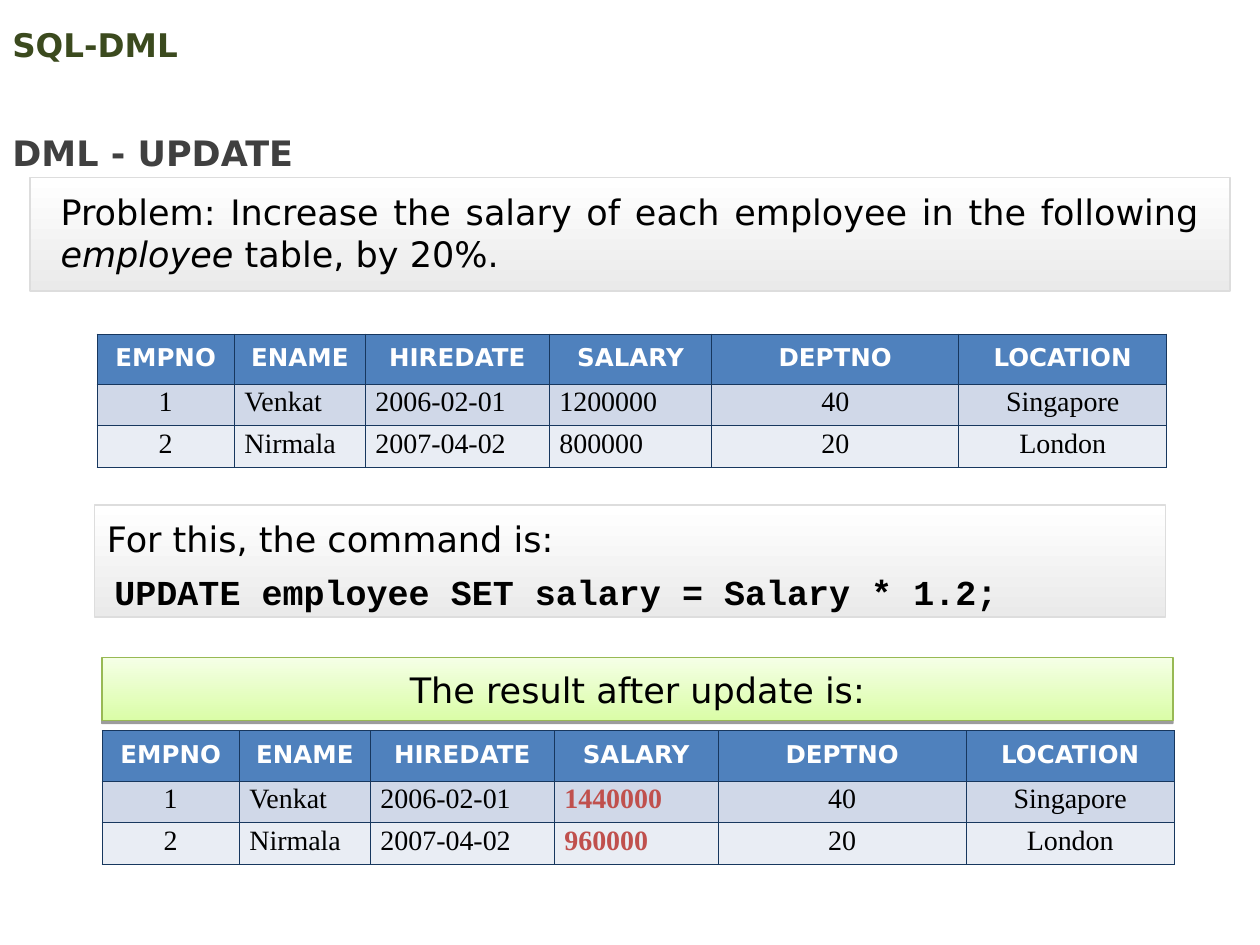
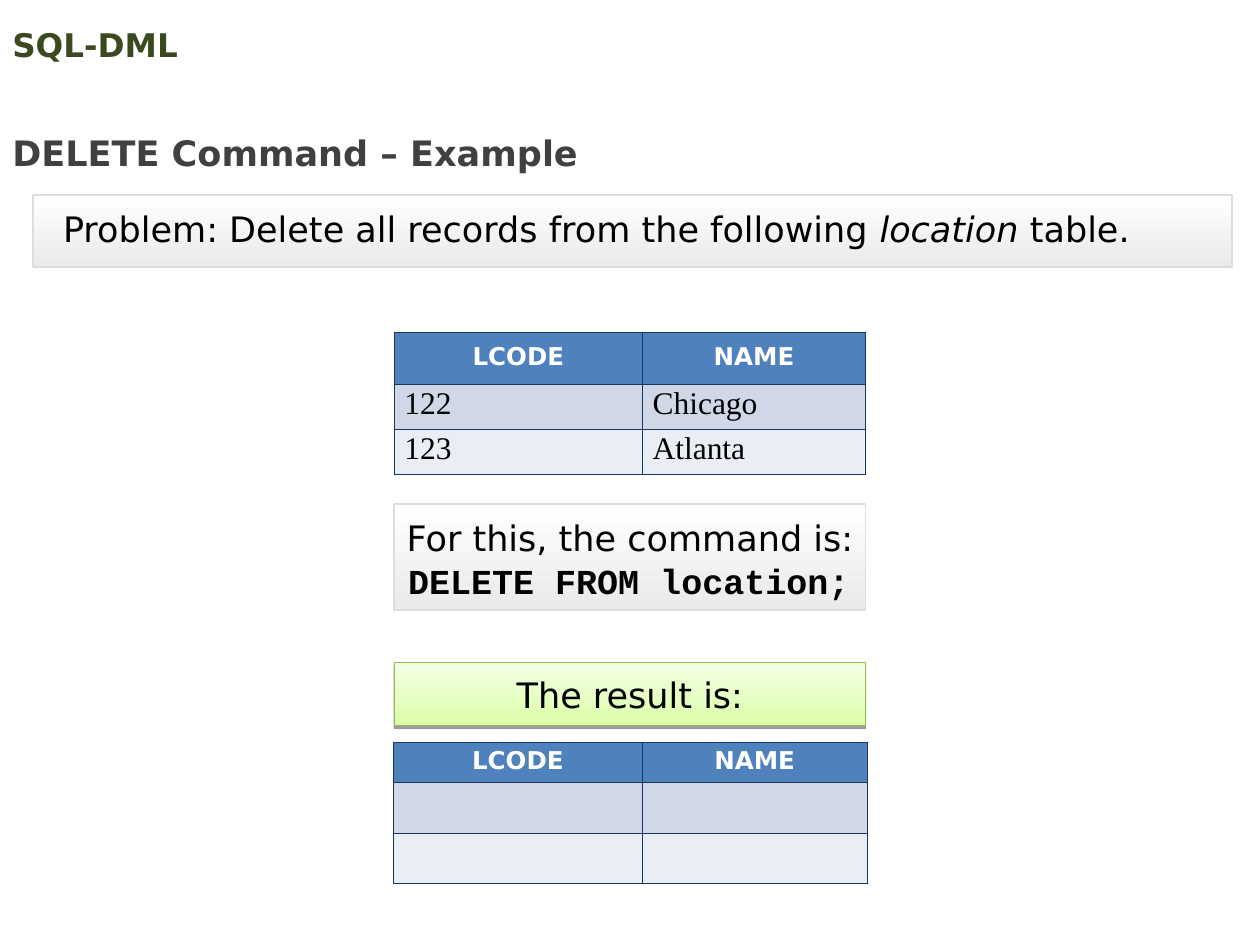
from lxml.etree import SubElement
from pptx import Presentation
from pptx.dml.color import RGBColor
from pptx.enum.shapes import MSO_SHAPE
from pptx.enum.text import MSO_ANCHOR, PP_ALIGN
from pptx.oxml.ns import qn
from pptx.util import Inches, Pt

SANS, SERIF, MONO = "DejaVu Sans", "Times New Roman", "Courier New"
BLACK, WHITE = "000000", "FFFFFF"
TITLE, HEADING, CHANGED = "3B4A1E", "404040", "C0504D"
HEADER_FILL, ROW_FILLS, GRID = "4F81BD", ("D0D8E8", "E9EDF4"), "17375E"
GREY_PANEL = ((WHITE, "EAEAEA"), "DDDDDD", 1)
GREEN_PANEL = (("F5FFE6", "DAFDA7"), "98B954", 0.75)


def color(value):
    return RGBColor.from_string(value)


class SlideBuilder:
    def __init__(self, presentation):
        self.presentation = presentation
        self.slide = None

    def new_slide(self, heading):
        self.slide = self.presentation.slides.add_slide(self.presentation.slide_layouts[6])
        self.text((0, 0.14, 9, 0.43), "SQL-DML", size=18.6, ink=TITLE, anchor=MSO_ANCHOR.MIDDLE)
        self.text((0, 0.83, 8.5, 0.6), heading, ink=HEADING, spacing=1.5)

    def frame(self, text_frame, insets, anchor=MSO_ANCHOR.TOP):
        text_frame.word_wrap = True
        text_frame.vertical_anchor = anchor
        (text_frame.margin_left, text_frame.margin_top,
         text_frame.margin_right, text_frame.margin_bottom) = map(Inches, insets)
        return text_frame.paragraphs[0]

    def run(self, paragraph, text, size=20, font=SANS, ink=BLACK, bold=False, italic=False):
        run = paragraph.add_run()
        run.text = text
        run.font.size, run.font.name = Pt(size), font
        run.font.bold, run.font.italic = bold, italic
        run.font.color.rgb = color(ink)

    def text(self, box, text, size=20, font=SANS, ink=BLACK, spacing=1.0, anchor=MSO_ANCHOR.TOP):
        shape = self.slide.shapes.add_textbox(*map(Inches, box))
        paragraph = self.frame(shape.text_frame, (0.1, 0.05, 0.1, 0.05), anchor)
        paragraph.line_spacing = spacing
        self.run(paragraph, text, size, font, ink, bold=True)

    def panel(self, box, style, insets, anchor=MSO_ANCHOR.TOP):
        stops, line, weight = style
        shape = self.slide.shapes.add_shape(MSO_SHAPE.RECTANGLE, *map(Inches, box))
        shape.shadow.inherit = False
        shape.fill.gradient()
        shape.fill.gradient_angle = 270
        for position, (stop, value) in enumerate(zip(shape.fill.gradient_stops, stops)):
            stop.position = position
            stop.color.rgb = color(value)
        shape.line.color.rgb = color(line)
        shape.line.width = Pt(weight)
        return shape, self.frame(shape.text_frame, insets, anchor)

    def problem(self, box, before, table_name, after, bottom_inset):
        paragraph = self.panel(box, GREY_PANEL, (0.24, 0.1, 0.24, bottom_inset))[1]
        paragraph.alignment = PP_ALIGN.JUSTIFY
        paragraph.space_after = Pt(12)
        self.run(paragraph, before)
        self.run(paragraph, table_name, italic=True)
        self.run(paragraph, after)

    def command(self, box, statement, statement_box, right_inset):
        paragraph = self.panel(box, GREY_PANEL, (0.1, 0.1, right_inset, right_inset))[1]
        paragraph.alignment = PP_ALIGN.LEFT
        paragraph.space_before = paragraph.space_after = Pt(6)
        self.run(paragraph, "For this, the command is:")
        self.text(statement_box, statement, font=MONO)

    def result(self, box, text):
        shape, paragraph = self.panel(box, GREEN_PANEL, (0.1, 0, 0.1, 0), MSO_ANCHOR.MIDDLE)
        paragraph.alignment = PP_ALIGN.CENTER
        paragraph.space_before = paragraph.space_after = Pt(6)
        self.run(paragraph, text)
        effects = shape._element.spPr.find(qn("a:effectLst"))
        shadow = SubElement(effects, qn("a:outerShdw"), blurRad="0", dist=str(Pt(1.6)),
                            dir="5400000", rotWithShape="0")
        shade = SubElement(shadow, qn("a:srgbClr"), val=BLACK)
        SubElement(shade, qn("a:alpha"), val="38000")

    def cell_style(self, cell, fill):
        properties = cell._tc.get_or_add_tcPr()
        for side in ("lnL", "lnR", "lnT", "lnB"):
            line = SubElement(properties, qn("a:" + side), w=str(Pt(0.45)))
            SubElement(SubElement(line, qn("a:solidFill")), qn("a:srgbClr"), val=GRID)
        cell.fill.solid()
        cell.fill.fore_color.rgb = color(fill)

    def table(self, left, top, widths, heights, rows, size=16, centered=(), changed=()):
        table = self.slide.shapes.add_table(
            len(rows), len(widths), Inches(left), Inches(top),
            Inches(sum(widths)), Inches(sum(heights))).table
        for column, width in zip(table.columns, widths):
            column.width = Inches(width)
        for row_index, (row, height) in enumerate(zip(rows, heights)):
            table.rows[row_index].height = Inches(height)
            header = row_index == 0
            for column_index, text in enumerate(row):
                cell = table.cell(row_index, column_index)
                self.cell_style(cell, HEADER_FILL if header else ROW_FILLS[(row_index - 1) % 2])
                cell.vertical_anchor = MSO_ANCHOR.MIDDLE if header else MSO_ANCHOR.TOP
                cell.margin_left = cell.margin_right = Inches(0.1 if header else 0.08)
                if not text:
                    continue
                paragraph = cell.text_frame.paragraphs[0]
                paragraph.line_spacing = 0.86
                middle = header or column_index in centered
                paragraph.alignment = PP_ALIGN.CENTER if middle else PP_ALIGN.LEFT
                if header:
                    self.run(paragraph, text, 14, SANS, WHITE, bold=True)
                else:
                    marked = column_index in changed
                    self.run(paragraph, text, size, SERIF, CHANGED if marked else BLACK, marked)


def employee_rows(*salaries):
    first, second = salaries
    return [("EMPNO", "ENAME", "HIREDATE", "SALARY", "DEPTNO", "LOCATION"),
            ("1", "Venkat", "2006-02-01", first, "40", "Singapore"),
            ("2", "Nirmala", "2007-04-02", second, "20", "London")]


def update_slide(builder):
    builder.new_slide("DML - UPDATE")
    builder.problem((0.24, 1.41, 9.52, 0.9),
                    "Problem: Increase the salary of each employee in the following ",
                    "employee", " table, by 20%.", 0.1)
    builder.command((0.75, 4.01, 8.5, 0.89), "UPDATE employee SET salary = Salary * 1.2;",
                    (0.81, 4.48, 7.29, 0.44), 0.1)
    builder.result((0.81, 5.22, 8.5, 0.5), "The result after update is:")
    heights, centered = (0.4, 0.29, 0.29), (0, 4, 5)
    builder.table(0.77, 2.65, (1.09, 1.04, 1.46, 1.29, 1.96, 1.65), heights,
                  employee_rows("1200000", "800000"), centered=centered)
    builder.table(0.81, 5.8, (1.09, 1.04, 1.46, 1.3, 1.97, 1.65), heights,
                  employee_rows("1440000", "960000"), centered=centered, changed=(3,))


def delete_slide(builder):
    builder.new_slide("DELETE Command – Example")
    builder.problem((0.26, 1.55, 9.52, 0.57), "Problem: Delete all records from the following ",
                    "location", " table.", 0)
    builder.command((3.13, 4, 3.74, 0.84), "DELETE FROM location;", (3.14, 4.39, 4, 0.44), 0)
    builder.result((3.13, 5.26, 3.74, 0.5), "The result is:")
    header = ("LCODE", "NAME")
    builder.table(3.13, 2.64, (1.97, 1.77), (0.41, 0.33, 0.33),
                  [header, ("122", "Chicago"), ("123", "Atlanta")], size=18)
    builder.table(3.12, 5.89, (1.98, 1.78), (0.32, 0.37, 0.37), [header, ("", ""), ("", "")])


def main():
    presentation = Presentation()
    presentation.slide_width, presentation.slide_height = Inches(10), Inches(7.5)
    builder = SlideBuilder(presentation)
    update_slide(builder)
    delete_slide(builder)
    presentation.save("out.pptx")


if __name__ == "__main__":
    main()
